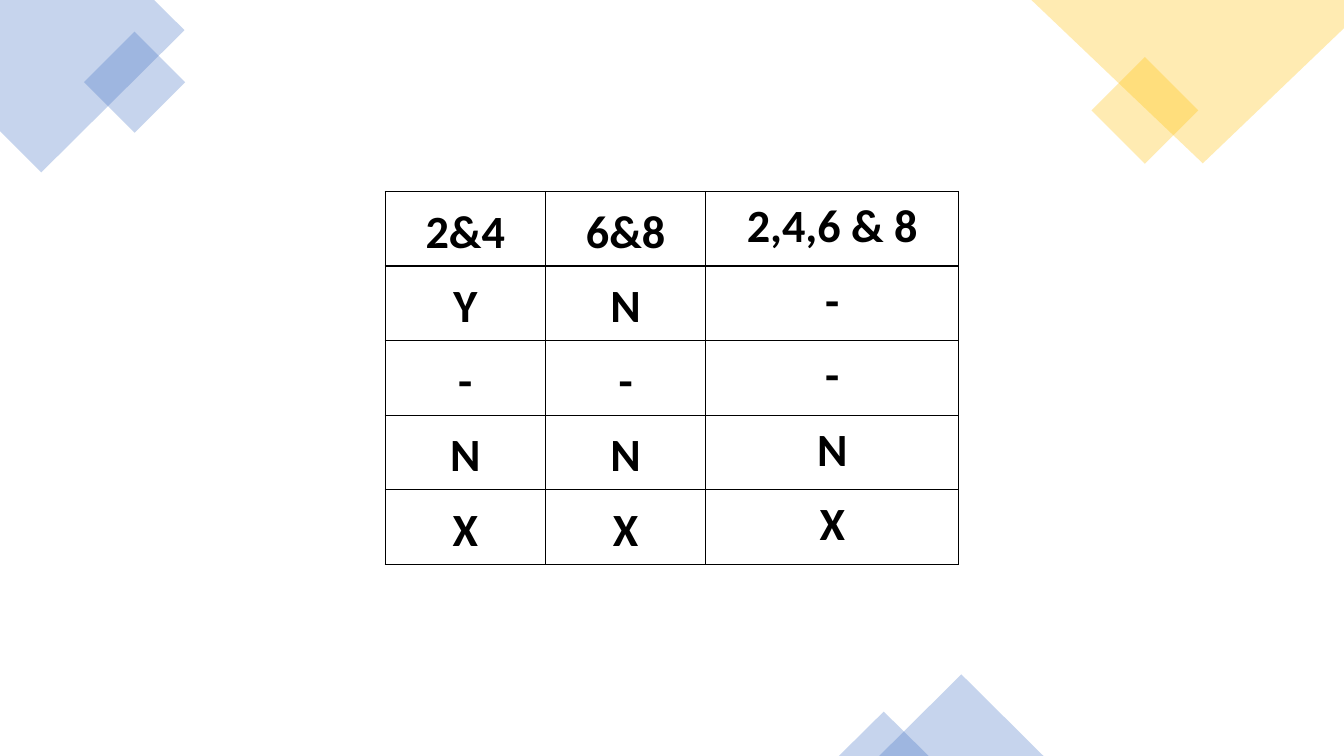
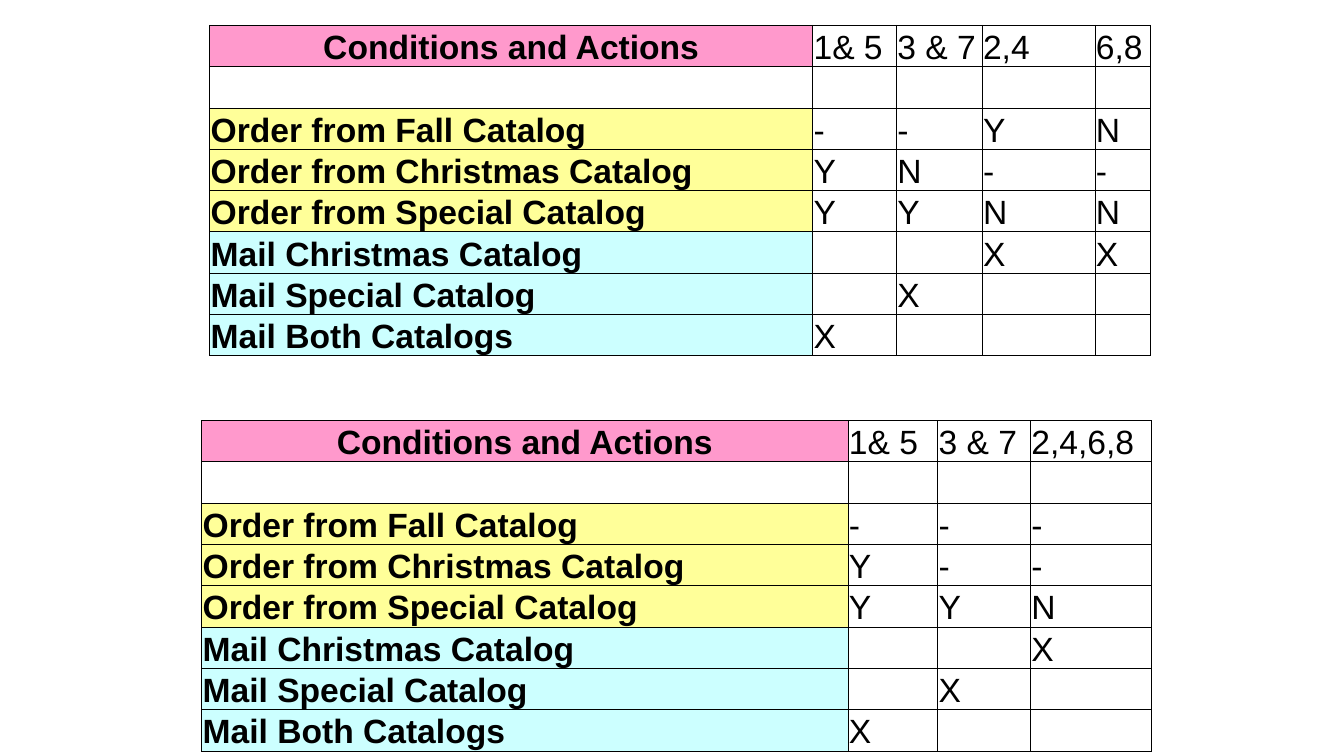
import lxml.etree
import pptx
import pptx.dml.color
import pptx.enum.shapes
import pptx.enum.text
import pptx.oxml.ns
import pptx.util

Inches = pptx.util.Inches
Shape = pptx.enum.shapes.MSO_SHAPE
Anchor = pptx.enum.text.MSO_ANCHOR
Align = pptx.enum.text.PP_ALIGN

THEME = {
    "blue": "4472C4", "gold": "FFC000", "opacity": 30,
    "black": "000000", "white": "FFFFFF",
    "header": "FF99CC", "condition": "FFFF99", "action": "CCFFFF",
    "rule_font": {"name": "Calibri", "size": pptx.util.Pt(33), "bold": True},
    "catalog_font": {"name": "Arial", "size": pptx.util.Pt(24)},
}

CORNERS = [
    ("blue", [(1.53, 0), (0, 0), (0, 1.3), (0.41, 1.71), (1.83, 0.3)]),
    ("gold", [(13.33, 0), (10.23, 0), (11.93, 1.62), (13.33, 0.28)]),
]
ACCENTS = [
    (Shape.RECTANGLE, "blue", (0.98, 0.46, 0.71, 0.71), 315),
    (Shape.RECTANGLE, "gold", (10.98, 0.72, 0.75, 0.75), 315),
    (Shape.ISOSCELES_TRIANGLE, "blue", (8.72, 6.69, 1.63, 0.81), 0),
    (Shape.ISOSCELES_TRIANGLE, "blue", (8.32, 7.06, 0.89, 0.44), 0),
]

RULES = {
    "at": (3.82, 1.9), "columns": [1.59, 1.59, 2.51], "row_height": 0.74,
    "rows": [
        ["2&4", "6&8", "2,4,6 & 8"],
        ["Y", "N", "-"],
        ["-", "-", "-"],
        ["N", "N", "N"],
        ["X", "X", "X"],
    ],
}

LABELS = [
    ("Conditions and Actions", "header"),
    ("", "white"),
    ("Order from Fall Catalog", "condition"),
    ("Order from Christmas Catalog", "condition"),
    ("Order from Special Catalog", "condition"),
    ("Mail Christmas Catalog", "action"),
    ("Mail Special Catalog", "action"),
    ("Mail Both Catalogs", "action"),
]
CATALOG_TABLES = [
    {
        "at": (2.08, 0.25), "columns": [5.98, 0.83, 0.85, 1.12, 0.55],
        "decisions": {
            "1& 5": ["", "-", "Y", "Y", "", "", "X"],
            "3 & 7": ["", "-", "N", "Y", "", "X", ""],
            "2,4": ["", "Y", "-", "N", "X", "", ""],
            "6,8": ["", "N", "-", "N", "X", "", ""],
        },
    },
    {
        "at": (2, 4.17), "columns": [6.41, 0.89, 0.92, 1.2],
        "decisions": {
            "1& 5": ["", "-", "Y", "Y", "", "", "X"],
            "3 & 7": ["", "-", "-", "Y", "", "X", ""],
            "2,4,6,8": ["", "-", "-", "N", "X", "", ""],
        },
    },
]


def apply(target, values):
    for name, value in values.items():
        setattr(target, name, value)


def color(name):
    return pptx.dml.color.RGBColor.from_string(THEME[name])


def add_element(parent, tag, **attributes):
    element = lxml.etree.SubElement(parent, pptx.oxml.ns.qn(tag))
    for name, value in attributes.items():
        element.set(name, str(value))
    return element


def paint_translucent(shape, color_name):
    shape.shadow.inherit = False
    shape.fill.solid()
    shape.fill.fore_color.rgb = color(color_name)
    shape.line.fill.background()
    paint = shape.element.spPr.find(".//" + pptx.oxml.ns.qn("a:srgbClr"))
    add_element(paint, "a:alpha", val=THEME["opacity"] * 1000)


def add_decoration(slide):
    for color_name, points in CORNERS:
        outline = [(Inches(x), Inches(y)) for x, y in points]
        builder = slide.shapes.build_freeform(*outline[0])
        builder.add_line_segments(outline[1:], close=True)
        paint_translucent(builder.convert_to_shape(), color_name)
    for kind, color_name, box, rotation in ACCENTS:
        shape = slide.shapes.add_shape(kind, *map(Inches, box))
        shape.rotation = rotation
        paint_translucent(shape, color_name)


def add_borders(cell, points):
    properties = cell._tc.get_or_add_tcPr()
    for side in ("a:lnL", "a:lnR", "a:lnT", "a:lnB"):
        line = add_element(properties, side, w=pptx.util.Pt(points))
        add_element(add_element(line, "a:solidFill"), "a:srgbClr", val=THEME["black"])


def add_grid(slide, at, columns, rows, row_height, border, style):
    size = (sum(columns), row_height * len(rows))
    frame = slide.shapes.add_table(len(rows), len(columns), *map(Inches, at + size))
    table = frame.table
    apply(table, {"first_row": False, "horz_banding": False})
    for column, width in zip(table.columns, columns):
        column.width = Inches(width)
    for row_index, texts in enumerate(rows):
        table.rows[row_index].height = Inches(row_height)
        for column_index, text in enumerate(texts):
            cell = table.cell(row_index, column_index)
            look = style(row_index, column_index)
            add_borders(cell, border)
            cell.fill.solid()
            cell.fill.fore_color.rgb = color(look["fill"])
            apply(cell, look["cell"])
            paragraph = cell.text_frame.paragraphs[0]
            apply(paragraph, look["paragraph"])
            if text:
                run = paragraph.add_run()
                run.text = text
                apply(run.font, look["font"])
                run.font.color.rgb = color("black")


def margins(side, top):
    return {"margin_left": Inches(side), "margin_right": Inches(side),
            "margin_top": Inches(top), "margin_bottom": 0}


def rule_style(row, column):
    anchor = Anchor.TOP if column == 2 else Anchor.MIDDLE
    return {
        "fill": "white",
        "cell": {**margins(0.23, 0.03), "vertical_anchor": anchor},
        "paragraph": {"alignment": Align.CENTER, "line_spacing": 1.07},
        "font": THEME["rule_font"],
    }


def catalog_style(row, column):
    is_label = column == 0
    alignment = Align.CENTER if is_label and row == 0 else Align.LEFT
    return {
        "fill": LABELS[row][1] if is_label else "white",
        "cell": {**margins(0.01, 0.01), "vertical_anchor": Anchor.BOTTOM},
        "paragraph": {"alignment": alignment},
        "font": {**THEME["catalog_font"], "bold": is_label},
    }


def main():
    presentation = pptx.Presentation()
    apply(presentation, {"slide_width": Inches(13.33), "slide_height": Inches(7.5)})
    blank = presentation.slide_layouts[6]

    rules_slide = presentation.slides.add_slide(blank)
    add_decoration(rules_slide)
    add_grid(rules_slide, **RULES, border=1, style=rule_style)

    catalog_slide = presentation.slides.add_slide(blank)
    for catalog in CATALOG_TABLES:
        decisions = [[name] + marks for name, marks in catalog["decisions"].items()]
        rows = list(zip([label for label, fill in LABELS], *decisions))
        add_grid(catalog_slide, catalog["at"], catalog["columns"], rows, 0.41,
                 border=0.5, style=catalog_style)

    presentation.save("out.pptx")


if __name__ == "__main__":
    main()
